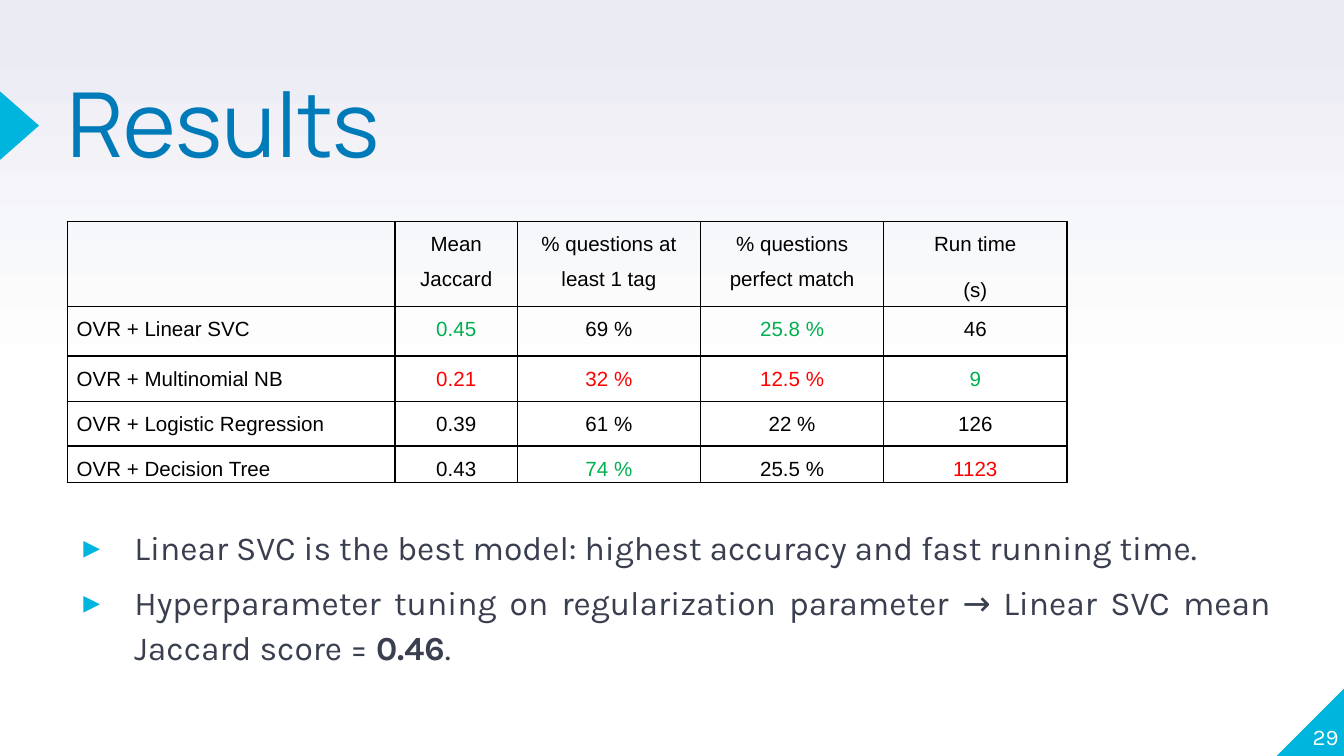
from copy import deepcopy

from lxml import etree
from pptx import Presentation
from pptx import util as u
from pptx.dml.color import RGBColor
from pptx.enum import shapes, text
from pptx.oxml.ns import qn

WIDE = 10
HIGH = WIDE * 9 / 16
EDGE = WIDE * 0.05  # left margin shared by title, table and list

WHITE = RGBColor(0xFF, 0xFF, 0xFF)
MIST = RGBColor(0xE9, 0xEA, 0xF2)
CYAN = RGBColor(0x00, 0xB5, 0xDD)
BLUE = RGBColor(0x00, 0x7B, 0xB9)
SLATE = RGBColor(0x3A, 0x3F, 0x50)
BLACK = RGBColor(0, 0, 0)
GREEN = RGBColor(0x00, 0xB0, 0x50)
RED = RGBColor(0xFF, 0, 0)

ALIGN = text.PP_ALIGN
COLS = [2.44, 0.91] + [4.09 / 3] * 3
ROWS = [0.63, 0.37, 0.34, 0.33, 0.27]
CELLS = [
    ["", "Mean Jaccard", "% questions at least 1 tag",
     "% questions perfect match", "Run time\n(s)"],
    ["OVR + Linear SVC", "0.45", "69 %", "25.8 %", "46"],
    ["OVR + Multinomial NB", "0.21", "32 %", "12.5 %", "9"],
    ["OVR + Logistic Regression", "0.39", "61 %", "22 %", "126"],
    ["OVR + Decision Tree", "0.43", "74 %", "25.5 %", "1123"],
]
BEST = {"0.45", "25.8 %", "9", "74 %"}
WORST = {"0.21", "32 %", "12.5 %", "1123"}
POINTS = [
    [("Linear SVC is the best model: highest accuracy and fast running time.", False)],
    [("Hyperparameter tuning on regularization parameter → Linear SVC mean "
      "Jaccard score = ", False), ("0.46", True), (".", False)],
]


def box(*sides):
    return [u.Inches(side) for side in sides]


def place(shape, *sides):
    shape.left, shape.top, shape.width, shape.height = box(*sides)


def frame(shape, anchor=text.MSO_ANCHOR.TOP):
    """Give a shape's text no insets, wrapping and a fixed size."""
    body = shape.text_frame
    body.margin_left = body.margin_right = body.margin_top = body.margin_bottom = 0
    body.word_wrap = True
    body.auto_size = text.MSO_AUTO_SIZE.NONE
    body.vertical_anchor = anchor
    return body


def style(par, face, size, color, align, space=1.0, before=0):
    par.font.name, par.font.size = face, u.Pt(size)
    par.font.color.rgb = color
    par.alignment, par.line_spacing = align, space
    par.space_before = u.Pt(before)


def shade(slide):
    """Fade the background from white at the foot to mist at the top."""
    fill = slide.background.fill
    fill.gradient()
    fill.gradient_angle = 90
    first = next(slide.element.iter(qn("a:gs")))
    first.addnext(deepcopy(first))
    stops = [(0, WHITE), (0.5, WHITE), (1, MIST)]
    for stop, (spot, color) in zip(fill.gradient_stops, stops):
        stop.position, stop.color.rgb = spot, color


def accent(slide, kind, *sides):
    shape = slide.shapes.add_shape(kind, *box(*sides))
    shape.shadow.inherit = False
    shape.fill.solid()
    shape.fill.fore_color.rgb = CYAN
    shape.line.fill.background()
    return shape


def border(cell):
    props = cell._tc.get_or_add_tcPr()
    for spot, side in enumerate(("a:lnL", "a:lnR", "a:lnT", "a:lnB")):
        line = etree.Element(qn(side), w=str(u.Pt(0.75)))
        fill = etree.SubElement(line, qn("a:solidFill"))
        etree.SubElement(fill, qn("a:srgbClr"), val=str(BLACK))
        props.insert(spot, line)


def bullet(par):
    props = par._p.get_or_add_pPr()
    props.set("marL", str(u.Inches(0.5)))
    props.set("indent", str(u.Inches(-0.38)))
    tint = etree.SubElement(props, qn("a:buClr"))
    etree.SubElement(tint, qn("a:srgbClr"), val=str(CYAN))
    etree.SubElement(props, qn("a:buFont"), typeface="Karla")
    etree.SubElement(props, qn("a:buChar"), char="▸")


def scores(slide):
    area = box(EDGE, 1.65, sum(COLS), sum(ROWS))
    table = slide.shapes.add_table(len(ROWS), len(COLS), *area).table
    table.first_row = table.horz_banding = False
    for col, width in zip(table.columns, COLS):
        col.width = u.Inches(width)
    for row, height, words in zip(table.rows, ROWS, CELLS):
        row.height = u.Inches(height)
        for spot, (cell, word) in enumerate(zip(row.cells, words)):
            cell.margin_left = cell.margin_right = u.Inches(0.07)
            cell.margin_top = cell.margin_bottom = 0
            cell.fill.background()
            border(cell)
            cell.text = word
            color = GREEN if word in BEST else RED if word in WORST else BLACK
            align = ALIGN.CENTER if spot else ALIGN.JUSTIFY
            for par in cell.text_frame.paragraphs:
                style(par, "Arial", 11, color, align, 1.5, 6)


def points(shape):
    body = frame(shape)
    for spot, parts in enumerate(POINTS):
        par = body.add_paragraph() if spot else body.paragraphs[0]
        style(par, "Karla", 18, SLATE, ALIGN.JUSTIFY, 1.1, 6)
        bullet(par)
        for words, bold in parts:
            run = par.add_run()
            run.text = words
            if bold:
                run.font.bold = True


def main():
    deck = Presentation()
    deck.slide_width, deck.slide_height = box(WIDE, HIGH)
    slide = deck.slides.add_slide(deck.slide_layouts[1])
    title, body = slide.placeholders
    shade(slide)

    # Corner and title marker
    kinds = shapes.MSO_SHAPE
    corner = accent(slide, kinds.RIGHT_TRIANGLE, WIDE - 0.5, HIGH - 0.51, 0.51, 0.51)
    corner.element.spPr.find(qn("a:xfrm")).set("flipH", "1")
    mark = accent(slide, kinds.ISOSCELES_TRIANGLE, -0.11, 0.79, 0.51, 0.29)
    mark.rotation = 90

    # Title
    place(title, EDGE, 0.66, WIDE - EDGE, 0.64)
    head = frame(title)
    head.text = "Results"
    style(head.paragraphs[0], "Manrope", 48, BLUE, ALIGN.LEFT, 0.8)

    # Page number
    page = slide.shapes.add_textbox(*box(9.46, 5.07, 0.5, 0.51))
    foot = frame(page, text.MSO_ANCHOR.BOTTOM)
    foot.text = "29"
    style(foot.paragraphs[0], "Karla", 12, WHITE, ALIGN.RIGHT)

    # Scores and findings
    scores(slide)
    place(body, EDGE, 3.89, 8.96, 1.63)
    points(body)
    deck.save("out.pptx")


if __name__ == "__main__":
    main()
